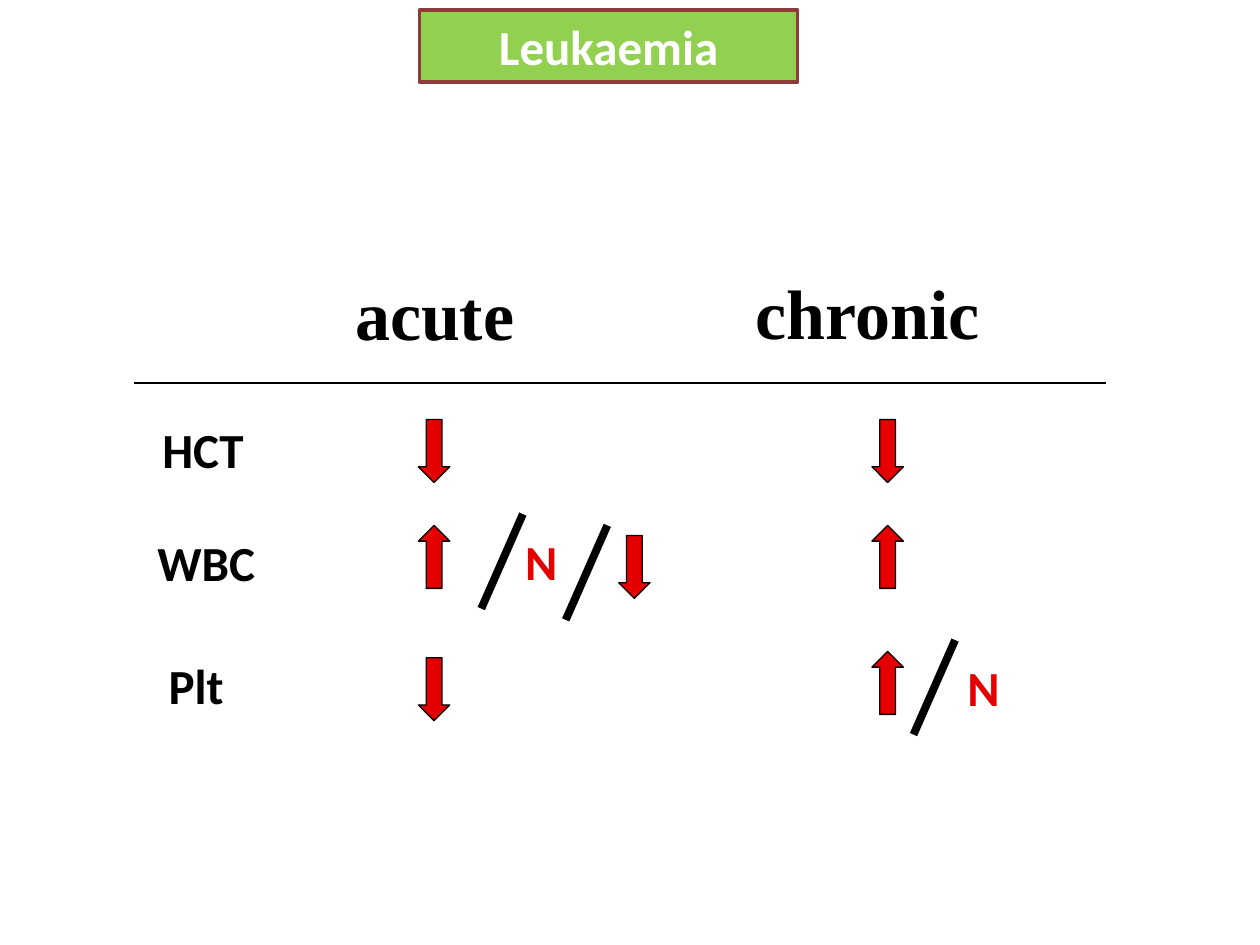
import pptx
import pptx.dml.color
import pptx.enum.shapes
import pptx.enum.text
import pptx.oxml
import pptx.util
from pptx.util import Inches

BLACK, RED, WHITE = "000000", "E40000", "FFFFFF"
GREEN, BROWN = "92D050", "8E3B39"
SHAPES = pptx.enum.shapes.MSO_SHAPE


def paint(color_format, color):
    color_format.rgb = pptx.dml.color.RGBColor.from_string(color)


def write(shape, text, size, color, font_name="Calibri"):
    run = shape.text_frame.paragraphs[0].add_run()
    run.text = text
    run.font.name = font_name
    run.font.size = pptx.util.Pt(size)
    run.font.bold = True
    paint(run.font.color, color)


presentation = pptx.Presentation()
presentation.slide_width = Inches(10)
presentation.slide_height = Inches(7.5)
slide = presentation.slides.add_slide(presentation.slide_layouts[5])

# Title banner
title = slide.shapes.title
title.left, title.top = Inches(3.33), Inches(0.08)
title.width, title.height = Inches(3), Inches(0.57)
title.fill.solid()
paint(title.fill.fore_color, GREEN)
title.line.width = pptx.util.Pt(2)
paint(title.line.color, BROWN)
title.text_frame.vertical_anchor = pptx.enum.text.MSO_ANCHOR.MIDDLE
title.text_frame.paragraphs[0].alignment = pptx.enum.text.PP_ALIGN.CENTER
write(title, "Leukaemia", 28, WHITE)

# Column headings, row labels and "N" for normal
labels = [
    ("acute", 2.72, 2.1, 1.48, 0.77, 40, BLACK, "Times New Roman"),
    ("chronic", 5.9, 2.09, 2, 0.77, 40, BLACK, "Times New Roman"),
    ("HCT", 1.19, 3.28, 1.01, 0.57, 28, BLACK, "Calibri"),
    ("WBC", 1.15, 4.18, 1.09, 0.57, 28, BLACK, "Calibri"),
    ("Plt", 1.24, 5.15, 0.7, 0.57, 28, BLACK, "Calibri"),
    ("N", 4.07, 4.17, 0.52, 0.57, 28, RED, "Calibri"),
    ("N", 7.58, 5.17, 0.52, 0.57, 28, RED, "Calibri"),
]
for text, left, top, width, height, size, color, font_name in labels:
    box = slide.shapes.add_textbox(Inches(left), Inches(top), Inches(width), Inches(height))
    box.text_frame.word_wrap = False
    write(box, text, size, color, font_name)

# Arrows for raised and lowered counts
acute, chronic = 3.32, 6.92
arrows = [
    (SHAPES.DOWN_ARROW, acute, 3.33),
    (SHAPES.DOWN_ARROW, chronic, 3.33),
    (SHAPES.UP_ARROW, acute, 4.17),
    (SHAPES.DOWN_ARROW, 4.91, 4.25),
    (SHAPES.UP_ARROW, chronic, 4.17),
    (SHAPES.DOWN_ARROW, acute, 5.22),
    (SHAPES.UP_ARROW, chronic, 5.17),
]
for kind, left, top in arrows:
    arrow = slide.shapes.add_shape(kind, Inches(left), Inches(top), Inches(0.25), Inches(0.5))
    arrow.shadow.inherit = False
    arrow.fill.solid()
    paint(arrow.fill.fore_color, RED)
    arrow.line.width = pptx.util.Pt(0.75)
    paint(arrow.line.color, BLACK)

# Heading rule and the slashes between alternatives
lines = [(1.06, 3.04, 8.78, 3.04, 0.75)]
for left, top in [(3.82, 4.08), (4.49, 4.17), (7.25, 5.08)]:
    lines.append((left + 0.33, top, left, top + 0.75, 4.5))
for start_x, start_y, end_x, end_y, weight in lines:
    line = slide.shapes.add_connector(
        pptx.enum.shapes.MSO_CONNECTOR.STRAIGHT,
        Inches(start_x), Inches(start_y), Inches(end_x), Inches(end_y))
    line.line.width = pptx.util.Pt(weight)
    paint(line.line.color, BLACK)
    line._element.spPr.append(pptx.oxml.parse_xml(
        '<a:effectLst xmlns:a="http://schemas.openxmlformats.org/drawingml/2006/main"/>'))

presentation.save("out.pptx")
